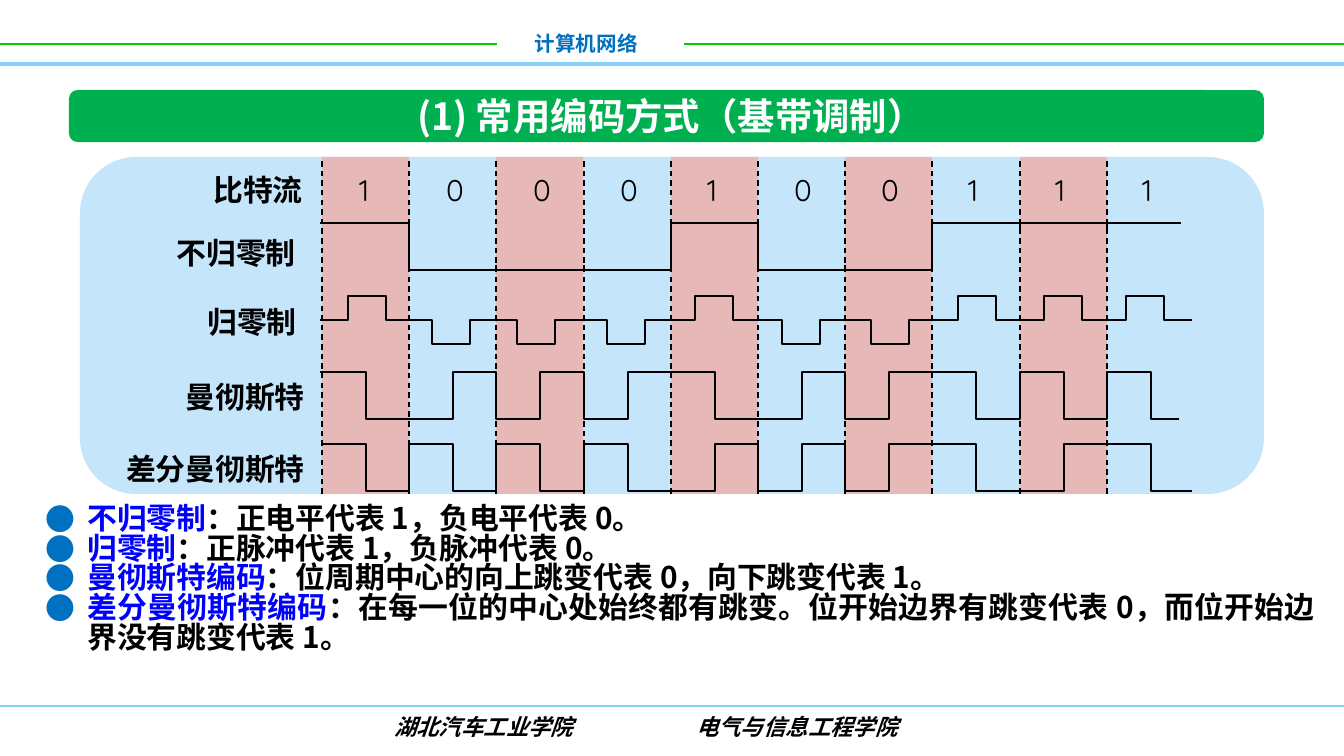
from lxml import etree
from pptx import Presentation
from pptx.dml.color import RGBColor
from pptx.enum.dml import MSO_LINE
from pptx.enum.shapes import MSO_CONNECTOR, MSO_SHAPE
from pptx.enum.text import MSO_ANCHOR, PP_ALIGN
from pptx.oxml.ns import qn
from pptx.util import Pt

SCALE = 914400 / 134.4
LEFT, CENTER, RIGHT, JUSTIFY = PP_ALIGN.LEFT, PP_ALIGN.CENTER, PP_ALIGN.RIGHT, PP_ALIGN.JUSTIFY
TOP, MIDDLE = MSO_ANCHOR.TOP, MSO_ANCHOR.MIDDLE
RECTANGLE, ROUNDED = MSO_SHAPE.RECTANGLE, MSO_SHAPE.ROUNDED_RECTANGLE
STRAIGHT, DASH = MSO_CONNECTOR.STRAIGHT, MSO_LINE.DASH

BLACK = RGBColor(0x00, 0x00, 0x00)
WHITE = RGBColor(0xFF, 0xFF, 0xFF)
LIME = RGBColor(0x00, 0xCC, 0x00)
SKY = RGBColor(0x85, 0xD1, 0xF7)
GREEN = RGBColor(0x00, 0xB0, 0x50)
PANEL_BLUE = RGBColor(0xC5, 0xE5, 0xFB)
PINK = RGBColor(0xE6, 0xB9, 0xB8)
HEADER_BLUE = RGBColor(0x00, 0x70, 0xC0)
TERM_BLUE = RGBColor(0x00, 0x00, 0xFF)

CJK_FONT = "Noto Sans CJK SC"
DIGIT_FONT = "Quicksand"
FOOTER_FONT = "Arial"

COURSE = "计算机网络"
TITLE = "(1) 常用编码方式（基带调制）"
FOOTER = "湖北汽车工业学院\t电气与信息工程学院"
BITS = "1000100111"
ROW_LABELS = [
    ("比特流", 316, 165),
    ("不归零制", 309, 228),
    ("归零制", 310, 297),
    ("曼彻斯特", 318, 372),
    ("差分曼彻斯特", 318, 444),
]
DEFINITIONS = [
    ("不归零制", "：正电平代表 1，负电平代表 0。"),
    ("归零制", "：正脉冲代表 1，负脉冲代表 0。"),
    ("曼彻斯特编码", "：位周期中心的向上跳变代表 0，向下跳变代表 1。"),
    ("差分曼彻斯特编码", "：在每一位的中心处始终都有跳变。位开始边界有跳变代表 0，而位开始边界没有跳变代表 1。"),
]
RULES = [
    (0, 44, 497, LIME, 1),
    (0, 64, 1344, SKY, 2),
    (684, 44, 1344, LIME, 1),
    (0, 706, 1344, SKY, 1.5),
]
PULSE_STARTS = [320, 404, 489, 579, 667, 754, 843, 930, 1016, 1098]
EDGES = [round(322 + 87.2 * index) for index in range(len(BITS))]
HALF = 44
PANEL_TOP, PANEL_BOTTOM = 157, 494
NRZ_HIGH, NRZ_LOW = 223, 270
MANCHESTER_HIGH, MANCHESTER_LOW = 372, 419
DIFFERENTIAL_HIGH, DIFFERENTIAL_LOW = 444, 491
PULSE_BASE, PULSE_HEIGHT = 320, 24

presentation = Presentation()
presentation.slide_width = round(1344 * SCALE)
presentation.slide_height = round(756 * SCALE)
slide = presentation.slides.add_slide(presentation.slide_layouts[6])


def px(*values):
    return [round(value * SCALE) for value in values]


def add_block(kind, box, color):
    shape = slide.shapes.add_shape(kind, *px(*box))
    shape.shadow.inherit = False
    shape.fill.solid()
    shape.fill.fore_color.rgb = color
    shape.line.fill.background()


def add_line(start, end, color=BLACK, width=0.75, dash=None):
    line = slide.shapes.add_connector(STRAIGHT, *px(*start, *end))
    line.line.color.rgb = color
    line.line.width = Pt(width)
    if dash:
        line.line.dash_style = dash
    etree.SubElement(line._element.spPr, qn("a:effectLst"))


def add_wave(points):
    builder = slide.shapes.build_freeform(*px(*points[0]), scale=1.0)
    builder.add_line_segments([px(*point) for point in points[1:]], close=False)
    shape = builder.convert_to_shape()
    shape.shadow.inherit = False
    shape.fill.background()
    shape.line.color.rgb = BLACK
    shape.line.width = Pt(0.75)


def add_frame(box, wrap=True, anchor=TOP):
    frame = slide.shapes.add_textbox(*px(*box)).text_frame
    frame.word_wrap = wrap
    frame.vertical_anchor = anchor
    return frame


def add_run(paragraph, text, size=16, color=BLACK, font=CJK_FONT, bold=True, italic=False):
    run = paragraph.add_run()
    run.text = text
    run.font.size = Pt(size)
    run.font.bold = bold
    run.font.italic = italic
    run.font.color.rgb = color
    run.font.name = font
    etree.SubElement(run._r.get_or_add_rPr(), qn("a:ea"), typeface=CJK_FONT)


def add_text(text, box, align=LEFT, wrap=True, anchor=TOP, **style):
    paragraph = add_frame(box, wrap, anchor).paragraphs[0]
    paragraph.alignment = align
    add_run(paragraph, text, **style)
    return paragraph


def step_wave(levels, starts, end):
    points = []
    for start, stop, level in zip(starts, starts[1:] + [end], levels):
        points += [(start, level), (stop, level)]
    return points


for left, y, right, color, width in RULES:
    add_line((left, y), (right, y), color, width)
add_text(COURSE, (521, 24, 130, 39), align=RIGHT, wrap=False, size=11, color=HEADER_BLUE)
footer = add_text(FOOTER, (381, 707, 700, 40), size=12, font=FOOTER_FONT, italic=True)
tabs = etree.SubElement(footer._p.get_or_add_pPr(), qn("a:tabLst"))
etree.SubElement(tabs, qn("a:tab"), pos=str(px(302)[0]), algn="l")

add_block(ROUNDED, (69, 90, 1195, 52), GREEN)
add_text(TITLE, (184, 90, 974, 52), align=CENTER, anchor=MIDDLE, size=20, color=WHITE)

body = add_frame((32, 499, 1296, 191))
for index, (term, meaning) in enumerate(DEFINITIONS):
    paragraph = body.add_paragraph() if index else body.paragraphs[0]
    paragraph.alignment = JUSTIFY
    paragraph.line_spacing = 0.83
    properties = paragraph._p.get_or_add_pPr()
    properties.set("marL", str(px(42)[0]))
    properties.set("indent", str(px(-42)[0]))
    bullet_color = etree.SubElement(properties, qn("a:buClr"))
    etree.SubElement(bullet_color, qn("a:srgbClr"), val=str(HEADER_BLUE))
    etree.SubElement(properties, qn("a:buFont"), typeface=CJK_FONT)
    etree.SubElement(properties, qn("a:buChar"), char="●")
    add_run(paragraph, term, color=TERM_BLUE)
    add_run(paragraph, meaning)

add_block(ROUNDED, (80, PANEL_TOP, 1184, PANEL_BOTTOM - PANEL_TOP), PANEL_BLUE)
for edge in EDGES[::2]:
    add_block(RECTANGLE, (edge, PANEL_TOP, 87, PANEL_BOTTOM - PANEL_TOP), PINK)
for text, right, top in ROW_LABELS:
    add_text(text, (right - 215, top, 215, 50), align=RIGHT)
for index, bit in enumerate(BITS):
    add_text(bit, (346 + 87 * index, 165, 36, 40), wrap=False, font=DIGIT_FONT, bold=False)
for edge in EDGES:
    add_line((edge, PANEL_BOTTOM), (edge, 161), dash=DASH)

nrz_levels = [NRZ_HIGH if bit == "1" else NRZ_LOW for bit in BITS]
add_wave(step_wave(nrz_levels, [320] + EDGES[1:], 1181))
for edge, before, after in zip(EDGES[1:], nrz_levels, nrz_levels[1:]):
    if before == after:
        inner = 5 if after == NRZ_HIGH else -5
        add_line((edge, after), (edge, after + inner))

for start, bit in zip(PULSE_STARTS, BITS):
    peak = PULSE_BASE + (-PULSE_HEIGHT if bit == "1" else PULSE_HEIGHT)
    add_wave(step_wave([PULSE_BASE, peak, PULSE_BASE], [start, start + 28, start + 66], start + 94))

half_starts = [edge + offset for edge in EDGES for offset in (0, HALF)]
manchester_levels, differential_levels = [], []
first, second = DIFFERENTIAL_LOW, DIFFERENTIAL_HIGH
for index, bit in enumerate(BITS):
    pair = [MANCHESTER_HIGH, MANCHESTER_LOW]
    manchester_levels += pair if bit == "1" else pair[::-1]
    if index == 0 or bit == "1":
        first, second = second, first
    differential_levels += [first, second]
add_wave(step_wave(manchester_levels, [320] + half_starts[1:], 1179))
add_wave(step_wave(differential_levels, half_starts, 1192))

presentation.save("out.pptx")
